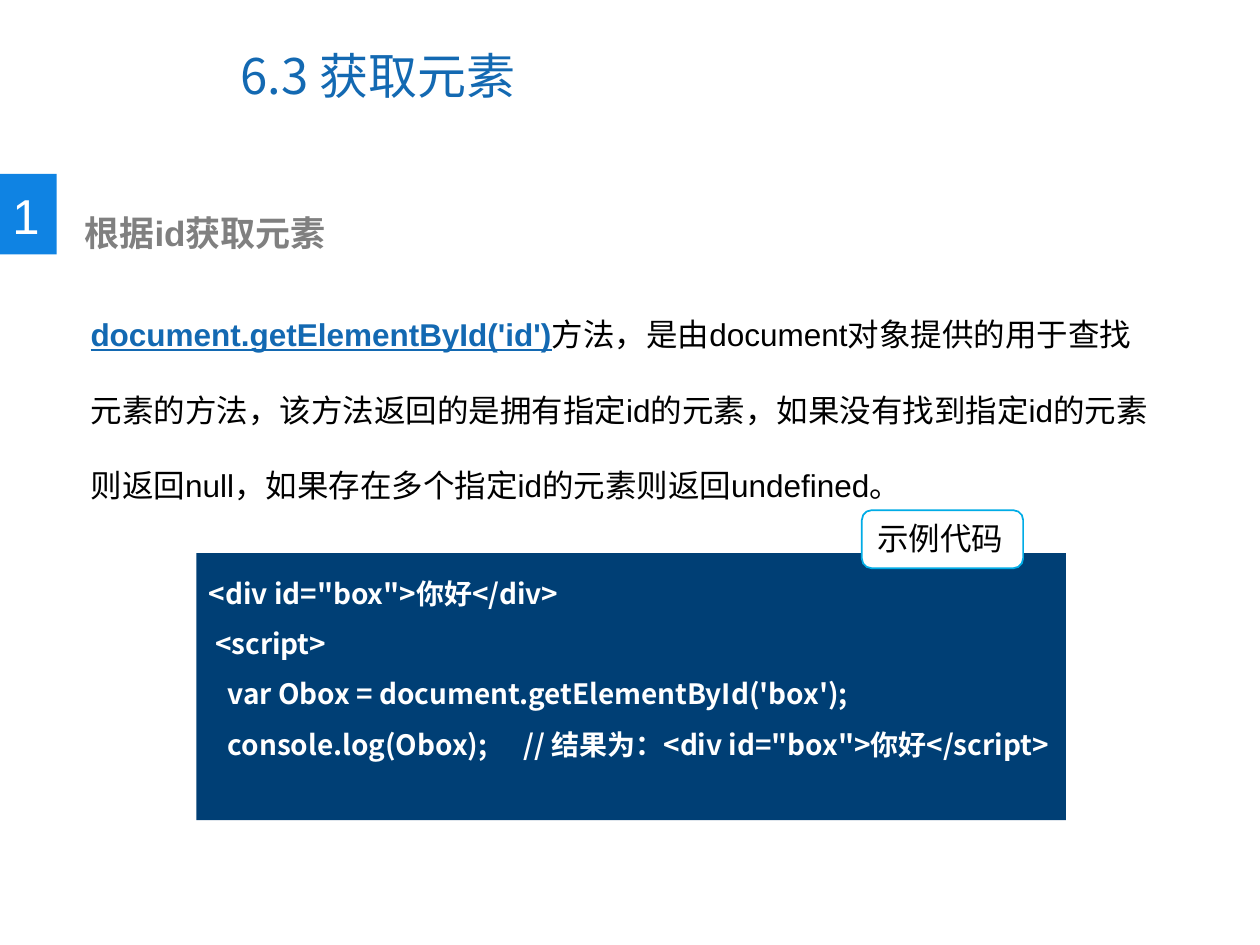
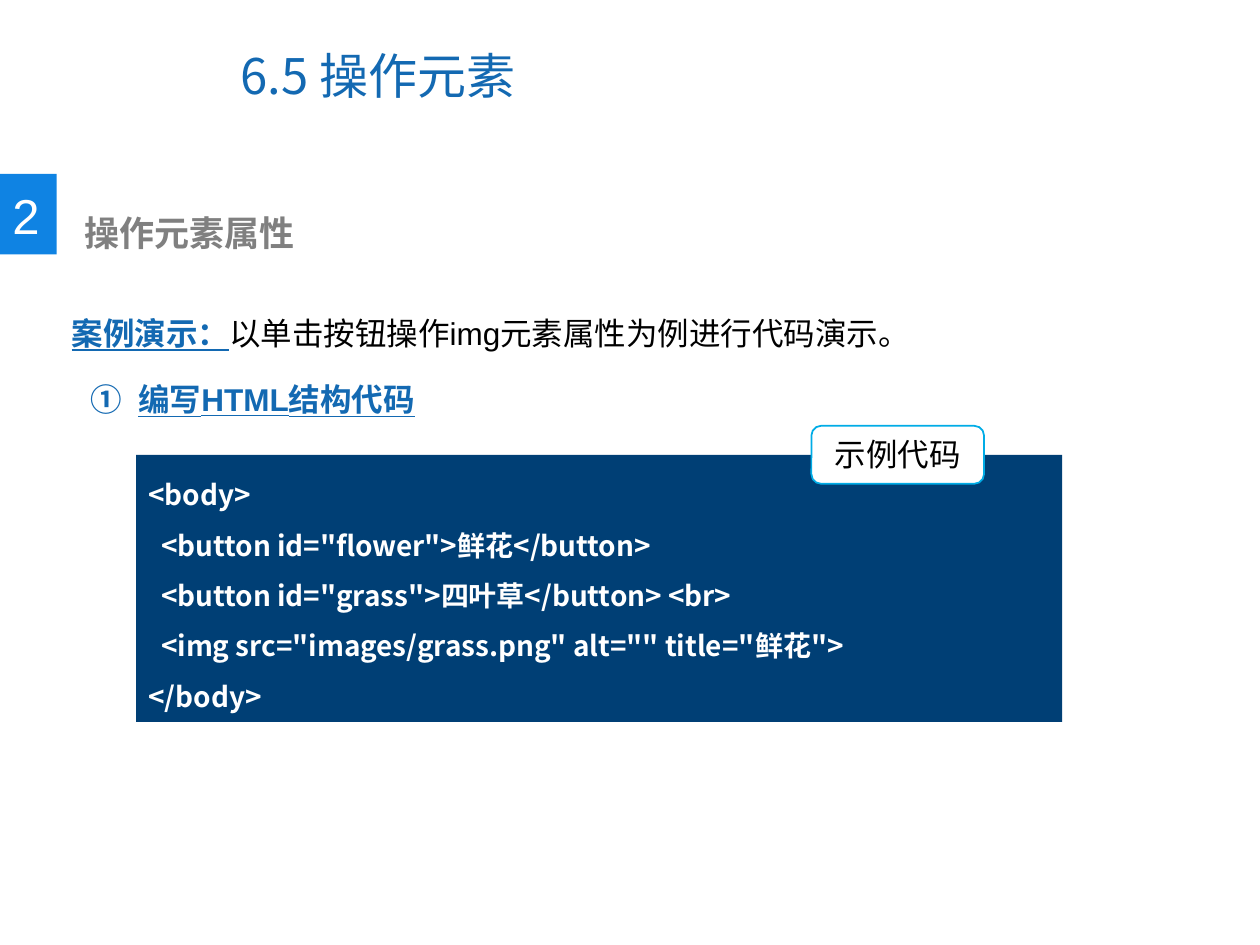
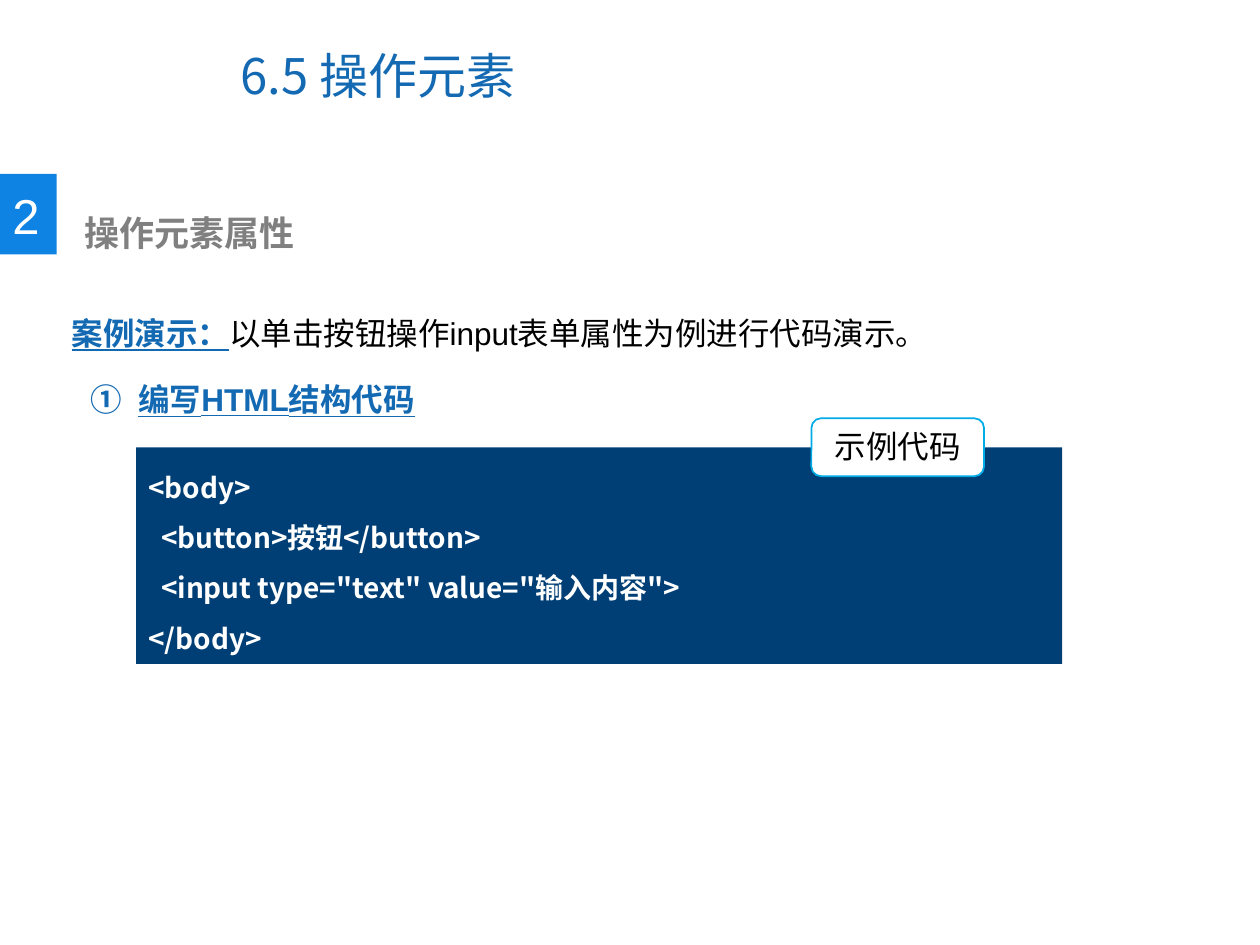
from dataclasses import dataclass

from lxml import etree
from pptx import Presentation
from pptx.dml.color import RGBColor
from pptx.enum.shapes import MSO_SHAPE
from pptx.enum.text import MSO_ANCHOR, MSO_AUTO_SIZE, PP_ALIGN
from pptx.oxml.ns import qn
from pptx.util import Inches, Pt

RECTANGLE, ROUNDED = MSO_SHAPE.RECTANGLE, MSO_SHAPE.ROUNDED_RECTANGLE
TOP, MIDDLE = MSO_ANCHOR.TOP, MSO_ANCHOR.MIDDLE
LEFT, CENTER = PP_ALIGN.LEFT, PP_ALIGN.CENTER
FIXED_SIZE = MSO_AUTO_SIZE.NONE
TITLE_ONLY = 5


@dataclass(frozen=True)
class Theme:
    latin: str = "Arial"
    chinese: str = "Noto Sans CJK SC"
    accent: str = "1369B2"
    badge: str = "0F83E3"
    heading: str = "808080"
    code_panel: str = "003F75"
    label_line: str = "00ACE6"
    black: str = "000000"
    white: str = "FFFFFF"
    large: int = 28
    heading_size: int = 20
    body: int = 18
    code: int = 16


THEME = Theme()


@dataclass(frozen=True)
class Style:
    size: int
    color: str
    font: str = THEME.latin
    bold: bool = False
    underline: bool = False


TITLE = Style(THEME.large, THEME.accent, THEME.chinese)
NUMBER = Style(THEME.large, THEME.white)
HEADING = Style(THEME.heading_size, THEME.heading, bold=True)
BODY = Style(THEME.body, THEME.black)
KEY = Style(THEME.body, THEME.accent, bold=True, underline=True)
CODE = Style(THEME.code, THEME.white, THEME.chinese, bold=True)


@dataclass(frozen=True)
class Box:
    left: float
    top: float
    width: float
    height: float

    def lengths(self) -> list:
        return [Inches(v) for v in (self.left, self.top, self.width, self.height)]


@dataclass(frozen=True)
class Lesson:
    title: str
    number: str
    heading: str
    key_text: str
    body_text: str
    body_box: Box
    code_lines: list
    code_box: Box
    label_box: Box
    label_align: PP_ALIGN = CENTER
    step: str = ""


def add_run(paragraph, text: str, style: Style) -> None:
    run = paragraph.add_run()
    run.text = text
    formats = {"name": style.font, "size": Pt(style.size),
               "bold": style.bold, "underline": style.underline}
    for attribute, value in formats.items():
        setattr(run.font, attribute, value)
    run.font.color.rgb = RGBColor.from_string(style.color)
    east_asian = etree.SubElement(run.font._element, qn("a:ea"))
    east_asian.set("typeface", THEME.chinese)


def format_frame(shape, anchor=TOP, wrap: bool = True) -> None:
    formats = {"word_wrap": wrap, "auto_size": FIXED_SIZE, "vertical_anchor": anchor}
    for attribute, value in formats.items():
        setattr(shape.text_frame, attribute, value)


def add_text(slide, box: Box, runs: list, spacing: float = 1.0, wrap: bool = True):
    shape = slide.shapes.add_textbox(*box.lengths())
    format_frame(shape, wrap=wrap)
    paragraph = shape.text_frame.paragraphs[0]
    paragraph.line_spacing = spacing
    for text, style in runs:
        add_run(paragraph, text, style)
    return shape


def add_panel(slide, kind, box: Box, fill: str, line: str = ""):
    shape = slide.shapes.add_shape(kind, *box.lengths())
    shape.shadow.inherit = False
    shape.fill.solid()
    shape.fill.fore_color.rgb = RGBColor.from_string(fill)
    if line:
        shape.line.color.rgb = RGBColor.from_string(line)
        shape.line.width = Pt(1)
    else:
        shape.line.fill.background()
    format_frame(shape)
    return shape


def add_header(slide, lesson: Lesson) -> None:
    # Title placeholder
    title = slide.shapes.title
    title.left, title.top, title.width, title.height = Box(1.81, 0.17, 5.16, 0.85).lengths()
    format_frame(title, MIDDLE)
    paragraph = title.text_frame.paragraphs[0]
    paragraph.alignment = LEFT
    add_run(paragraph, lesson.title, TITLE)
    # Numbered badge and section heading
    add_panel(slide, RECTANGLE, Box(0, 1.38, 0.45, 0.64), THEME.badge)
    add_text(slide, Box(0, 1.42, 0.42, 0.57), [(lesson.number, NUMBER)], wrap=False)
    heading = add_text(slide, Box(0.47, 1.63, 5.14, 0.44), [(lesson.heading, HEADING)])
    heading.text_frame.margin_left = Inches(0.2)


def add_code(slide, lesson: Lesson) -> None:
    panel = add_panel(slide, RECTANGLE, lesson.code_box, THEME.code_panel)
    frame = panel.text_frame
    for index, line in enumerate(lesson.code_lines):
        paragraph = frame.add_paragraph() if index else frame.paragraphs[0]
        paragraph.alignment = LEFT
        paragraph.line_spacing = 1.5
        add_run(paragraph, line, CODE)
    # Label over the top edge of the panel
    label = add_panel(slide, ROUNDED, lesson.label_box, THEME.white, THEME.label_line)
    paragraph = label.text_frame.paragraphs[0]
    paragraph.alignment = lesson.label_align
    add_run(paragraph, "示例代码", BODY)


def add_step(slide, text: str) -> None:
    shape = add_text(slide, Box(0.62, 2.67, 8.65, 0.61), [(text, KEY)], spacing=2.0)
    properties = shape.text_frame.paragraphs[0]._p.get_or_add_pPr()
    indent = Inches(0.38)
    properties.set("marL", str(indent))
    properties.set("indent", str(-indent))
    etree.SubElement(properties, qn("a:buAutoNum")).set("type", "circleNumDbPlain")


def add_lesson(presentation, lesson: Lesson) -> None:
    slide = presentation.slides.add_slide(presentation.slide_layouts[TITLE_ONLY])
    add_header(slide, lesson)
    runs = [(lesson.key_text, KEY), (lesson.body_text, BODY)]
    add_text(slide, lesson.body_box, runs, spacing=2.0)
    add_code(slide, lesson)
    if lesson.step:
        add_step(slide, lesson.step)


def demo_lesson(body_text: str, code_lines: list, code_top: float,
                code_height: float) -> Lesson:
    """A slide of section 6.5 that shows the HTML step of a demonstration."""
    return Lesson(
        "6.5 操作元素", "2", "操作元素属性", "案例演示：", body_text,
        Box(0.47, 2.14, 8.65, 0.71), code_lines,
        Box(1.08, code_top, 7.35, code_height),
        Box(6.44, code_top - 0.23, 1.37, 0.46),
        step="编写HTML结构代码")


LESSONS = [
    Lesson(
        "6.3 获取元素", "1", "根据id获取元素", "document.getElementById('id')",
        "方法，是由document对象提供的用于查找元素的方法，该方法返回的是拥有指定id的元素，"
        "如果没有找到指定id的元素则返回null，如果存在多个指定id的元素则返回undefined。",
        Box(0.62, 2.15, 8.65, 1.92),
        ['<div id="box">你好</div>',
         " <script>",
         "   var Obox = document.getElementById('box');",
         '   console.log(Obox);\t// 结果为：<div id="box">你好</script>'],
        Box(1.56, 4.39, 6.9, 2.12), Box(6.84, 4.05, 1.28, 0.46), LEFT),
    demo_lesson(
        "以单击按钮操作img元素属性为例进行代码演示。",
        ["<body>",
         '  <button id="flower">鲜花</button>',
         '  <button id="grass">四叶草</button> <br>',
         '  <img src="images/grass.png" alt="" title="鲜花">',
         "</body>"],
        3.61, 2.12),
    demo_lesson(
        "以单击按钮操作input表单属性为例进行代码演示。",
        ["<body>",
         "  <button>按钮</button>",
         '  <input type="text" value="输入内容">',
         "</body>"],
        3.55, 1.72),
]


def main() -> None:
    presentation = Presentation()
    presentation.slide_width, presentation.slide_height = Inches(10), Inches(7.5)
    for lesson in LESSONS:
        add_lesson(presentation, lesson)
    presentation.save("out.pptx")


if __name__ == "__main__":
    main()
